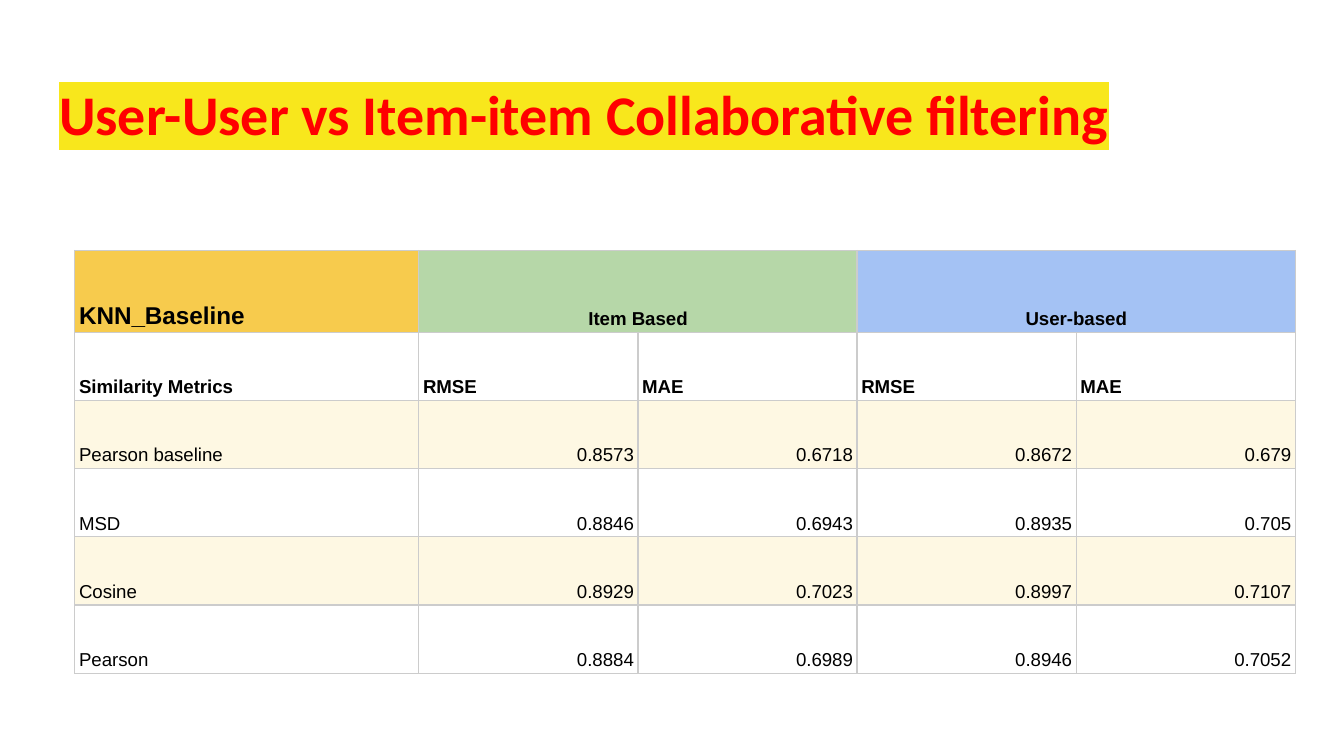
"""Build a slide comparing user-user and item-item collaborative filtering."""
from dataclasses import dataclass

from lxml import etree
from pptx import Presentation
from pptx.dml.color import RGBColor
from pptx.enum import text
from pptx.oxml import ns
from pptx.util import Pt

COLORS = {
    "title": "FF0000", "highlight": "F8E71C", "ink": "000000", "border": "CCCCCC",
    "baseline": "F7CB4D", "item": "B6D7A8", "user": "A4C2F4",
    "plain": "FFFFFF", "band": "FEF8E3",
}
LEFT, CENTER, RIGHT = text.PP_ALIGN.LEFT, text.PP_ALIGN.CENTER, text.PP_ALIGN.RIGHT
COLUMN_WIDTHS = [184.3] + [117.4] * 4
ROW_HEIGHTS = [43.8] + [36.54] * 5
METRICS = ["Similarity Metrics", "RMSE", "MAE", "RMSE", "MAE"]
SCORES = [
    ("Pearson baseline", "0.8573", "0.6718", "0.8672", "0.679"),
    ("MSD", "0.8846", "0.6943", "0.8935", "0.705"),
    ("Cosine", "0.8929", "0.7023", "0.8997", "0.7107"),
    ("Pearson", "0.8884", "0.6989", "0.8946", "0.7052"),
]


@dataclass
class Entry:
    wording: str
    fill: str
    align: text.PP_ALIGN = LEFT
    bold: bool = False
    size: float = 10
    spacing: float = 1.15


def rgb(name: str) -> RGBColor:
    return RGBColor.from_string(COLORS[name])


def add_color(parent: etree._Element, tag: str, name: str) -> etree._Element:
    holder = etree.SubElement(parent, ns.qn(tag))
    etree.SubElement(holder, ns.qn("a:srgbClr"), val=COLORS[name])
    return holder


def draw_borders(cell) -> None:
    properties = cell._tc.get_or_add_tcPr()
    for side in ("L", "R", "T", "B"):
        line = etree.SubElement(properties, ns.qn(f"a:ln{side}"), w=str(Pt(0.75)))
        add_color(line, "a:solidFill", "border")


def draw_entry(cell, entry: Entry) -> None:
    draw_borders(cell)
    cell.fill.solid()
    cell.fill.fore_color.rgb = rgb(entry.fill)
    cell.vertical_anchor = text.MSO_ANCHOR.BOTTOM
    cell.margin_left = cell.margin_right = Pt(2.25)
    cell.margin_top = cell.margin_bottom = Pt(1.5)
    cell.text = entry.wording
    paragraph = cell.text_frame.paragraphs[0]
    paragraph.alignment = entry.align
    paragraph.line_spacing = entry.spacing
    font = paragraph.font
    font.name, font.size, font.bold = "Arial", Pt(entry.size), entry.bold
    font.color.rgb = rgb("ink")


def draw_title(title) -> None:
    title.left, title.top, title.width, title.height = Pt(24.5), Pt(35.3), Pt(689), Pt(54)
    frame = title.text_frame
    frame.text = "User-User vs Item-item Collaborative filtering"
    frame.word_wrap = True
    frame.auto_size = text.MSO_AUTO_SIZE.NONE
    frame.vertical_anchor = text.MSO_ANCHOR.TOP
    frame.margin_left = frame.margin_right = Pt(7.2)
    frame.margin_top = frame.margin_bottom = Pt(7.2)
    paragraph = frame.paragraphs[0]
    paragraph.alignment = LEFT
    paragraph.line_spacing = 1.0
    paragraph.space_before = Pt(0)
    font = paragraph.font
    font.name, font.size, font.bold = "Calibri", Pt(30), True
    font.color.rgb = rgb("title")
    add_color(paragraph.runs[0]._r.get_or_add_rPr(), "a:highlight", "highlight")


def draw_scores(slide) -> None:
    header = [
        Entry("KNN_Baseline", "baseline", bold=True, size=13, spacing=1.0),
        Entry("Item Based", "item", CENTER, True), Entry("", "item"),
        Entry("User-based", "user", CENTER, True), Entry("", "user"),
    ]
    rows = [header, [Entry(metric, "plain", bold=True) for metric in METRICS]]
    for index, (similarity, *values) in enumerate(SCORES):
        fill = "plain" if index % 2 else "band"
        rows.append([Entry(similarity, fill)] + [Entry(value, fill, RIGHT) for value in values])

    scores = slide.shapes.add_table(
        len(rows), len(COLUMN_WIDTHS), Pt(40.1), Pt(134.2),
        Pt(sum(COLUMN_WIDTHS)), Pt(sum(ROW_HEIGHTS)),
    ).table
    scores.first_row = scores.horz_banding = False
    for column, width in zip(scores.columns, COLUMN_WIDTHS):
        column.width = Pt(width)
    for row, height, entries in zip(scores.rows, ROW_HEIGHTS, rows):
        row.height = Pt(height)
        for cell, entry in zip(row.cells, entries):
            draw_entry(cell, entry)
    for first in (1, 3):
        scores.cell(0, first).merge(scores.cell(0, first + 1))


def main() -> None:
    deck = Presentation()
    deck.slide_width, deck.slide_height = Pt(720), Pt(405)
    slide = deck.slides.add_slide(deck.slide_layouts[5])
    draw_title(slide.shapes.title)
    draw_scores(slide)
    deck.save("out.pptx")


main()
